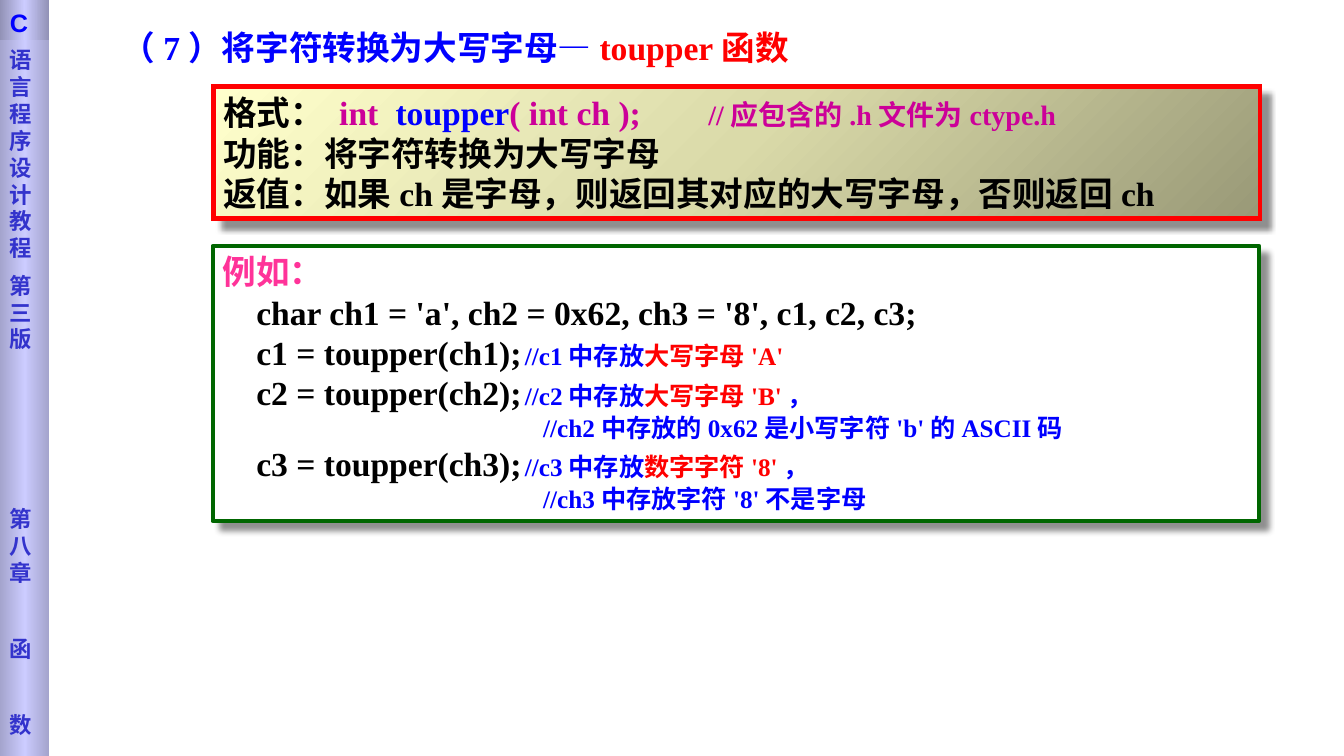
from dataclasses import dataclass

from lxml import etree
from pptx import Presentation
from pptx.dml.color import RGBColor
from pptx.enum.shapes import MSO_SHAPE
from pptx.enum.text import MSO_ANCHOR, MSO_AUTO_SIZE, PP_ALIGN
from pptx.oxml.ns import qn
from pptx.util import Cm, Pt

RECT = MSO_SHAPE.RECTANGLE
TOP, MIDDLE = MSO_ANCHOR.TOP, MSO_ANCHOR.MIDDLE
LEFT = PP_ALIGN.LEFT
NO_FIT = MSO_AUTO_SIZE.NONE


@dataclass(frozen=True)
class Theme:
    black: str = "000000"
    white: str = "FFFFFF"
    blue: str = "0000FF"
    red: str = "FF0000"
    green: str = "006600"
    magenta: str = "CC0099"
    pink: str = "FF3399"
    side_text: str = "3333CC"
    side_grad: tuple = ("A4A4CD", "CCCCFF", "A4A4CD")
    corner_grad: tuple = ("9292B6", "CCCCFF", "9292B6")
    syntax_grad: tuple = ("999977", "DADAA9", "FFFFCC")
    serif: str = "Times New Roman"
    sans: str = "Arial"
    side_font: str = "DejaVu Sans"
    large: int = 24
    medium: int = 20
    small: int = 18
    side: int = 16


T = Theme()


class SlideBuilder:
    def __init__(self, prs, theme):
        self.theme = theme
        self.slide = prs.slides.add_slide(prs.slide_layouts[5])

    def text_frame(self, sp, anchor=TOP, top=0.13):
        tf = sp.text_frame
        tf.word_wrap = True
        tf.auto_size = NO_FIT
        tf.vertical_anchor = anchor
        tf.margin_left = tf.margin_right = Cm(0.25)
        tf.margin_top, tf.margin_bottom = Cm(top), Cm(0.13)
        return tf

    def paragraph(self, tf, runs, font=None, first=False, before=0, indent=0, tabs=()):
        p = tf.paragraphs[0] if first else tf.add_paragraph()
        p.alignment = LEFT
        if before:
            p.space_before = Pt(before)
        pPr = p._p.get_or_add_pPr()
        if indent:
            pPr.set("marL", "0")
            pPr.set("indent", str(Cm(indent)))
        if tabs:
            tab_list = etree.SubElement(pPr, qn("a:tabLst"))
            for pos in tabs:
                etree.SubElement(tab_list, qn("a:tab"), pos=str(Cm(pos)), algn="l")
        for text, size, color in runs:
            r = p.add_run()
            r.text = text
            r.font.name = font or self.theme.serif
            r.font.size = Pt(size)
            r.font.bold = True
            r.font.color.rgb = RGBColor.from_string(color)

    def title(self, x, y, w, h, runs):
        sp = self.slide.shapes.title
        sp.left, sp.top, sp.width, sp.height = Cm(x), Cm(y), Cm(w), Cm(h)
        self.paragraph(self.text_frame(sp), runs, first=True)

    def box(self, x, y, w, h, fill):
        sp = self.slide.shapes.add_shape(RECT, Cm(x), Cm(y), Cm(w), Cm(h))
        sp.shadow.inherit = False
        sp.line.fill.background()
        sp.fill.solid()
        sp.fill.fore_color.rgb = RGBColor.from_string(fill)
        return sp

    def gradient(self, sp, colors, angle=0):
        sp.fill.gradient()
        sp.fill.gradient_angle = angle
        stops = sp._element.spPr.find(qn("a:gradFill")).find(qn("a:gsLst"))
        for old in list(stops):
            stops.remove(old)
        for i, color in enumerate(colors):
            gs = etree.SubElement(stops, qn("a:gs"), pos=str(i * 50000))
            etree.SubElement(gs, qn("a:srgbClr"), val=color)

    def frame(self, sp, color):
        """Thick outline with a soft shadow to the lower right."""
        sp.line.color.rgb = RGBColor.from_string(color)
        sp.line.width = Pt(3)
        effects = sp._element.spPr.find(qn("a:effectLst"))
        shadow = etree.SubElement(
            effects, qn("a:outerShdw"), blurRad=str(Pt(4)), dist=str(Pt(8.4)),
            dir="2700000", algn="tl", rotWithShape="0")
        clr = etree.SubElement(shadow, qn("a:srgbClr"), val=self.theme.black)
        etree.SubElement(clr, qn("a:alpha"), val="43000")


def add_sidebar(s):
    sp = s.box(0, 0, 1.24, 19.05, T.white)
    s.gradient(sp, T.side_grad)
    tf = s.text_frame(sp, top=1.17)
    parts = [("语言程序设计教程", 0), ("第三版", 7.5), ("第八章", 109),
             ("函", 35.3), ("数", 35.3)]
    for i, (text, before) in enumerate(parts):
        s.paragraph(tf, [(text, T.side, T.side_text)], T.side_font, i == 0, before)

    sp = s.box(0, 0, 1.24, 1.02, T.white)
    s.gradient(sp, T.corner_grad)
    s.paragraph(s.text_frame(sp, top=0.18), [("C", T.small, T.blue)], T.sans, True)


def add_syntax(s):
    sp = s.box(5.38, 2.18, 26.37, 3.33, T.white)
    s.gradient(sp, T.syntax_grad, 135)
    s.frame(sp, T.red)
    etree.SubElement(sp._element.spPr.find(qn("a:ln")), qn("a:miter"), lim="800000")
    tf = s.text_frame(sp, MIDDLE)
    s.paragraph(tf, [("格式：\t", T.large, T.black), ("int\t", T.large, T.magenta),
                     ("toupper", T.large, T.blue),
                     ("( int ch );\t", T.large, T.magenta),
                     ("//应包含的.h文件为ctype.h", T.medium, T.magenta)],
                first=True, tabs=(2.92, 4.34, 12.22))
    for text in ("功能：将字符转换为大写字母",
                 "返值：如果ch是字母，则返回其对应的大写字母，否则返回ch"):
        s.paragraph(tf, [(text, T.large, T.black)])


def add_example(s):
    sp = s.box(5.36, 6.2, 26.37, 6.93, T.white)
    s.frame(sp, T.green)
    tf = s.text_frame(sp)
    s.paragraph(tf, [("例如：", T.large, T.pink)], first=True)
    s.paragraph(tf, [("char ch1 = 'a', ch2 = 0x62, ch3 = '8', c1, c2, c3;",
                      T.large, T.black)], indent=0.85)
    # Each call: stored value, closing mark, further remark
    calls = [("大写字母'A'", "", ""),
             ("大写字母'B'", "，", "//ch2中存放的0x62是小写字符'b'的ASCII码"),
             ("数字字符'8'", "，", "//ch3中存放字符'8'不是字母")]
    for n, (value, mark, remark) in enumerate(calls, 1):
        runs = [(f"c{n} = toupper(ch{n});\t", T.large, T.black),
                (f"//c{n}中存放", T.small, T.blue), (value, T.small, T.red)]
        if mark:
            runs.append((mark, T.small, T.blue))
        s.paragraph(tf, runs, indent=0.85, tabs=(8.15,))
        if remark:
            s.paragraph(tf, [(remark, T.small, T.blue)], indent=8.08)


def main():
    prs = Presentation()
    prs.slide_width, prs.slide_height = Cm(33.87), Cm(19.05)
    s = SlideBuilder(prs, T)
    add_sidebar(s)
    s.title(2.82, 0.56, 21.97, 1.27,
            [("（7）将字符转换为大写字母—", T.large, T.blue),
             ("toupper函数", T.large, T.red)])
    add_syntax(s)
    add_example(s)
    prs.save("out.pptx")


if __name__ == "__main__":
    main()
